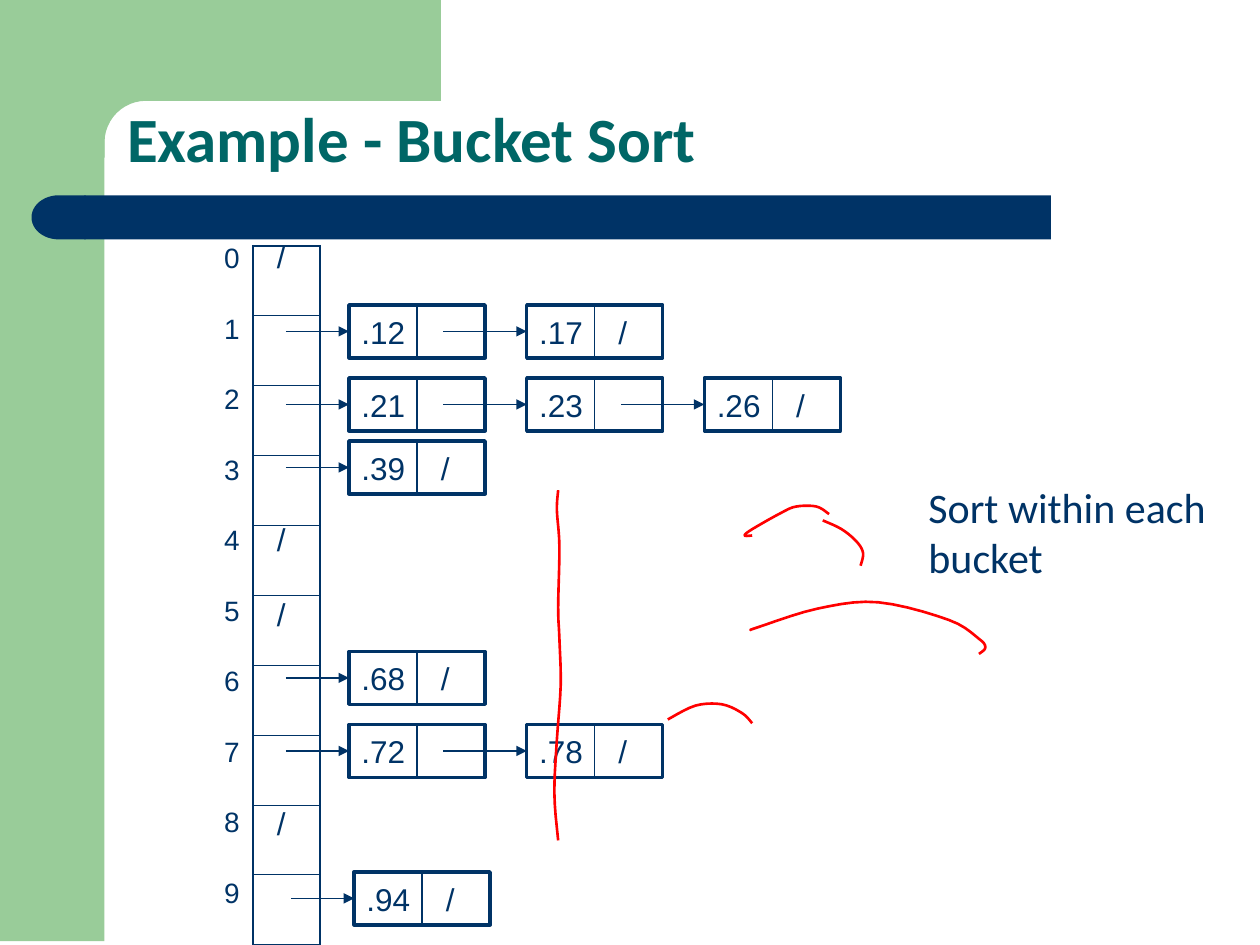
from dataclasses import dataclass
from math import cos, pi, sin

from lxml.etree import SubElement
from pptx import Presentation
from pptx.dml.color import RGBColor
from pptx.enum.shapes import MSO_CONNECTOR, MSO_SHAPE
from pptx.enum.text import MSO_ANCHOR
from pptx.oxml.ns import qn
from pptx.util import Inches, Pt


@dataclass(frozen=True)
class Theme:
    navy: RGBColor = RGBColor(0x00, 0x33, 0x66)
    green: RGBColor = RGBColor(0x99, 0xCC, 0x99)
    teal: RGBColor = RGBColor(0x00, 0x66, 0x66)
    red: RGBColor = RGBColor(0xFF, 0x00, 0x00)
    heading: str = "Calibri"
    body: str = "Arial"
    title_size: int = 36
    note_size: int = 24
    node_size: int = 18
    index_size: int = 16


theme = Theme()
presentation = Presentation()
presentation.slide_width, presentation.slide_height = Inches(10), Inches(7.5)
slide = presentation.slides.add_slide(presentation.slide_layouts[6])
shapes = slide.shapes


def add_label(text, left, top, width, height, size, font=theme.body):
    label = shapes.add_textbox(Inches(left), Inches(top), Inches(width), Inches(height))
    label.text_frame.word_wrap = False
    label.text_frame.text = text
    for paragraph in label.text_frame.paragraphs:
        paragraph.font.size = Pt(size)
        paragraph.font.name = font
        paragraph.font.color.rgb = theme.navy
    return label


def add_line(x1, y1, x2, y2, arrow=False):
    line = shapes.add_connector(
        MSO_CONNECTOR.STRAIGHT, Inches(x1), Inches(y1), Inches(x2), Inches(y2))
    line.line.color.rgb = theme.navy
    line.line.width = Pt(0.75)
    if arrow:
        SubElement(line.line._get_or_add_ln(), qn("a:tailEnd"), type="triangle")
    SubElement(line._element.spPr, qn("a:effectLst"))


# Green frame with a rounded inner corner, and the navy title bar
frame_side = shapes.add_shape(
    MSO_SHAPE.RECTANGLE, 0, Inches(-0.03), Inches(0.83), Inches(7.5))
radius = 0.33
corner = [(1.16 - radius * sin(step * pi / 24), 1.13 - radius * cos(step * pi / 24))
          for step in range(13)]
outline = [(3.5, -0.03), (3.5, 0.8), *corner, (0.83, 1.25), (0.5, 1.25), (0.5, -0.03)]
outline = [(Inches(x), Inches(y)) for x, y in outline]
builder = shapes.build_freeform(*outline[0])
builder.add_line_segments(outline[1:], close=True)
frame_top = builder.convert_to_shape()
bar = shapes.add_shape(
    MSO_SHAPE.RECTANGLE, Inches(0.67), Inches(1.55), Inches(7.67), Inches(0.35))
bar_end = shapes.add_shape(
    MSO_SHAPE.FLOWCHART_DELAY, Inches(0.25), Inches(1.55), Inches(0.43), Inches(0.35))
bar_end.rotation = 180
for part, color in ((frame_side, theme.green), (frame_top, theme.green),
                    (bar, theme.navy), (bar_end, theme.navy)):
    part.shadow.inherit = False
    part.fill.solid()
    part.fill.fore_color.rgb = color
    part.line.fill.background()

title = add_label("Example - Bucket Sort", 0.91, 0.36, 8.51, 1.09,
                  theme.title_size, theme.heading)
title.text_frame.word_wrap = True
title.text_frame.vertical_anchor = MSO_ANCHOR.BOTTOM
heading = title.text_frame.paragraphs[0]
heading.line_spacing = 0.9
heading.font.bold = True
heading.font.color.rgb = theme.teal

# Bucket array
bucket_count = 10
buckets = shapes.add_table(
    bucket_count, 1, Inches(2.01), Inches(1.95), Inches(0.53), Inches(5.55)).table
buckets.first_row = buckets.horz_banding = False
for index in range(bucket_count):
    cell = buckets.cell(index, 0)
    borders = {"lnL": 1.08, "lnR": 1.08,
               "lnT": 1.08 if index == 0 else 0.45,
               "lnB": 1.08 if index == bucket_count - 1 else 0.45}
    for side, width in borders.items():
        border = SubElement(cell._tc.get_or_add_tcPr(), qn(f"a:{side}"), w=str(Pt(width)))
        fill = SubElement(border, qn("a:solidFill"))
        SubElement(fill, qn("a:srgbClr"), val=str(theme.navy))
    cell.fill.background()
    add_label(str(index), 1.68, 1.86 + 0.56 * index, 0.32, 0.37, theme.index_size)

# Linked lists: left, top and values of each chain
node_width, node_height, node_step = 1.08, 0.42, 1.41
chains = [
    (2.77, 2.42, [".12", ".17"]),
    (2.77, 3.0, [".21", ".23", ".26"]),
    (2.77, 3.5, [".39"]),
    (2.77, 5.17, [".68"]),
    (2.77, 5.75, [".72", ".78"]),
    (2.81, 6.92, [".94"]),
]
for chain_left, top, values in chains:
    for position, value in enumerate(values):
        left = chain_left + position * node_step
        node = shapes.add_shape(MSO_SHAPE.RECTANGLE, Inches(left), Inches(top),
                                Inches(node_width), Inches(node_height))
        node.shadow.inherit = False
        node.fill.background()
        node.line.color.rgb = theme.navy
        node.line.width = Pt(2)
        node.text_frame.vertical_anchor = MSO_ANCHOR.MIDDLE
        is_last = position == len(values) - 1
        node.text_frame.text = f"{value}\t/" if is_last else value
        content = node.text_frame.paragraphs[0]
        properties = content._p.get_or_add_pPr()
        properties.set("algn", "l")
        tabs = SubElement(properties, qn("a:tabLst"))
        SubElement(tabs, qn("a:tab"), pos=str(Inches(0.63)), algn="l")
        content.font.size = Pt(theme.node_size)
        content.font.name = theme.body
        content.font.color.rgb = theme.navy
        middle = left + node_width / 2
        add_line(middle, top, middle, top + node_height)
        arrow_length = 0.5 if position == 0 else 0.66
        add_line(left - arrow_length, top + 0.21, left, top + 0.21, arrow=True)

for empty_top in (1.83, 4.08, 4.67, 6.33):
    add_label("/", 2.1, empty_top, 0.27, 0.4, theme.node_size)

add_label("Sort within each\nbucket", 7.27, 3.77, 2.72, 0.9,
          theme.note_size, theme.heading)

# Hand-drawn red strokes, smoothed through their points (Catmull-Rom)
strokes = [
    [(6.83, 4.49), (6.85, 4.39), (6.8, 4.3), (6.68, 4.2), (6.53, 4.13)],
    [(5.97, 4.25), (5.91, 4.25), (5.97, 4.2), (6.2, 4.07), (6.32, 4.02),
     (6.48, 4.02), (6.58, 4.08)],
    [(7.77, 5.19), (7.82, 5.14), (7.77, 5.07), (7.53, 4.92), (6.97, 4.78),
     (6.49, 4.83), (6.01, 4.98), (5.96, 5.0)],
    [(5.97, 5.74), (5.89, 5.66), (5.73, 5.59), (5.52, 5.6), (5.3, 5.71)],
    [(4.43, 3.89), (4.42, 4.05), (4.44, 4.34), (4.43, 4.82), (4.44, 5.07),
     (4.45, 5.44), (4.42, 5.87), (4.4, 6.3), (4.43, 6.67)],
]
pen = None
for stroke in strokes:
    padded = [stroke[0], *stroke, stroke[-1]]
    curve = []
    for a, b, c, d in zip(padded, padded[1:], padded[2:], padded[3:]):
        for t in (0.2, 0.4, 0.6, 0.8, 1):
            curve.append(tuple(
                Inches(q + ((r - p) * t + (2 * p - 5 * q + 4 * r - s) * t ** 2
                            + (3 * q - p - 3 * r + s) * t ** 3) / 2)
                for p, q, r, s in zip(a, b, c, d)))
    start = [Inches(value) for value in stroke[0]]
    if pen is None:
        pen = shapes.build_freeform(*start)
    else:
        pen.move_to(*start)
    pen.add_line_segments(curve, close=False)
ink = pen.convert_to_shape()
ink.shadow.inherit = False
ink.fill.background()
ink.line.color.rgb = theme.red
ink.line.width = Pt(1.5)

presentation.save("out.pptx")
